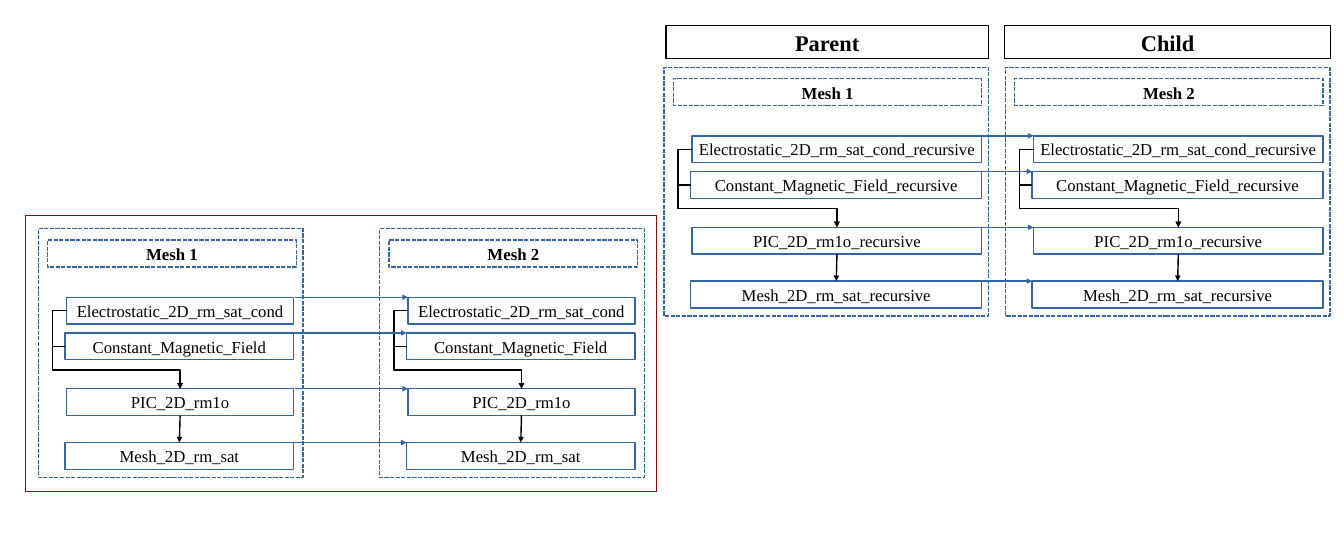
from pptx import Presentation
from pptx.dml.color import RGBColor
from pptx.enum.dml import MSO_LINE
from pptx.enum.shapes import MSO_CONNECTOR as LINK, MSO_SHAPE
from pptx.enum.text import MSO_ANCHOR as ANCHOR, MSO_AUTO_SIZE as AUTO, PP_ALIGN
from pptx.oxml.ns import qn
from pptx.util import Inches, Pt
from lxml.etree import SubElement

BLUE = RGBColor(0x34, 0x65, 0xA4)
RED = RGBColor(0x94, 0x07, 0x0A)
BLACK = RGBColor(0, 0, 0)
WHITE = RGBColor(255, 255, 255)
FONT = "Times New Roman"
TOP, LEFT, BOTTOM = 0, 1, 2  # connection sites of a rectangle

# Solver rows: name, left and top offset inside a mesh panel
SOLVERS = [
    ("Electrostatic_2D_rm_sat_cond", 0.42, 1.02),
    ("Constant_Magnetic_Field", 0.40, 1.55),
    ("PIC_2D_rm1o", 0.42, 2.38),
    ("Mesh_2D_rm_sat", 0.40, 3.18),
]


def add_box(slide, left, top, width, height, color=BLUE, weight=1.5,
            filled=True, dashed=False):
    box = slide.shapes.add_shape(MSO_SHAPE.RECTANGLE, Inches(left), Inches(top),
                                 Inches(width), Inches(height))
    box.shadow.inherit = False
    if filled:
        box.fill.solid()
        box.fill.fore_color.rgb = WHITE
    else:
        box.fill.background()
    box.line.color.rgb = color
    box.line.width = Pt(weight)
    if dashed:
        box.line.dash_style = MSO_LINE.SQUARE_DOT
    return box


def write(box, text, size, heading=False):
    frame = box.text_frame
    frame.margin_left = frame.margin_right = Inches(0.11)
    frame.margin_top = frame.margin_bottom = Inches(0.06)
    frame.word_wrap = heading
    frame.vertical_anchor = ANCHOR.TOP if heading else ANCHOR.MIDDLE
    frame.auto_size = AUTO.SHAPE_TO_FIT_TEXT if heading else AUTO.NONE
    label = frame.paragraphs[0]
    label.text = text
    label.alignment = PP_ALIGN.CENTER
    label.font.name = FONT
    label.font.size = Pt(size)
    label.font.bold = heading
    label.font.color.rgb = BLACK


def add_arrow(slide, kind, color, start=(0, 0), end=(0, 0)):
    arrow = slide.shapes.add_connector(kind, *start, *end)
    arrow.line.color.rgb = color
    arrow.line.width = Pt(1.5)
    SubElement(arrow.line._get_or_add_ln(), qn("a:tailEnd"), type="triangle")
    SubElement(arrow._element.spPr, qn("a:effectLst"))
    return arrow


def glue(arrow, source, source_site, target, target_site):
    arrow.begin_connect(source, source_site)
    arrow.end_connect(target, target_site)


def add_feed(slide, source, target, lane):
    """Run left out of source, down the lane and into the top of target."""
    feed = add_arrow(slide, LINK.ELBOW, BLACK)
    glue(feed, source, LEFT, target, TOP)
    turn = target.top - Inches(0.28)
    bends = ((lane - feed.begin_x) / feed.width,
             (turn - feed.begin_y) / feed.height)
    geometry = feed._element.spPr.find(qn("a:prstGeom"))
    geometry.set("prst", "bentConnector4")
    guides = geometry.find(qn("a:avLst"))
    for number, bend in enumerate(bends, 1):
        SubElement(guides, qn("a:gd"), name=f"adj{number}",
                   fmla=f"val {round(bend * 100000)}")


def add_mesh_panel(slide, title, left, top, width, title_width, row_right, suffix):
    add_box(slide, left, top, width, 3.7, dashed=True)
    rows = []
    for name, dx, dy in SOLVERS:
        row = add_box(slide, left + dx, top + dy, row_right - dx, 0.4)
        write(row, name + suffix, 17.9)
        rows.append(row)
    heading = add_box(slide, left + 0.14, top + 0.17, title_width, 0.4,
                      filled=False, dashed=True)
    write(heading, title, 18, heading=True)

    electrostatic, magnetic, pic, mesh = rows
    for field in (electrostatic, magnetic):
        add_feed(slide, field, pic, Inches(left + 0.21))
    glue(add_arrow(slide, LINK.STRAIGHT, BLACK), pic, BOTTOM, mesh, TOP)
    return rows


def add_mesh_pair(slide, left, top, width, title_width, row_right, suffix=""):
    for number in (1, 2):
        rows = add_mesh_panel(slide, f"Mesh {number}", left + 5.08 * (number - 1),
                              top, width, title_width, row_right, suffix)
    # Exchange arrows from mesh 1 into each row of mesh 2
    for row in rows:
        add_arrow(slide, LINK.STRAIGHT, BLUE,
                  (row.left - Inches(1.68), row.top), (row.left, row.top))


def main():
    prs = Presentation()
    prs.slide_width, prs.slide_height = Inches(20), Inches(8)
    slide = prs.slides.add_slide(prs.slide_layouts[6])

    # Recursive solvers, parent and child
    add_mesh_pair(slide, 9.88, 1, 4.83, 4.59, 4.73, "_recursive")

    # Plain solvers in the red frame
    add_box(slide, 0.37, 3.2, 9.4, 4.1, color=RED, weight=0.5)
    add_mesh_pair(slide, 0.57, 3.4, 3.94, 3.7, 3.8)

    # Column headings
    for role, left, width in (("Parent", 9.91, 4.8), ("Child", 14.95, 4.85)):
        write(add_box(slide, left, 0.38, width, 0.49, color=BLACK, filled=False),
              role, 24, heading=True)

    prs.save("out.pptx")


if __name__ == "__main__":
    main()
